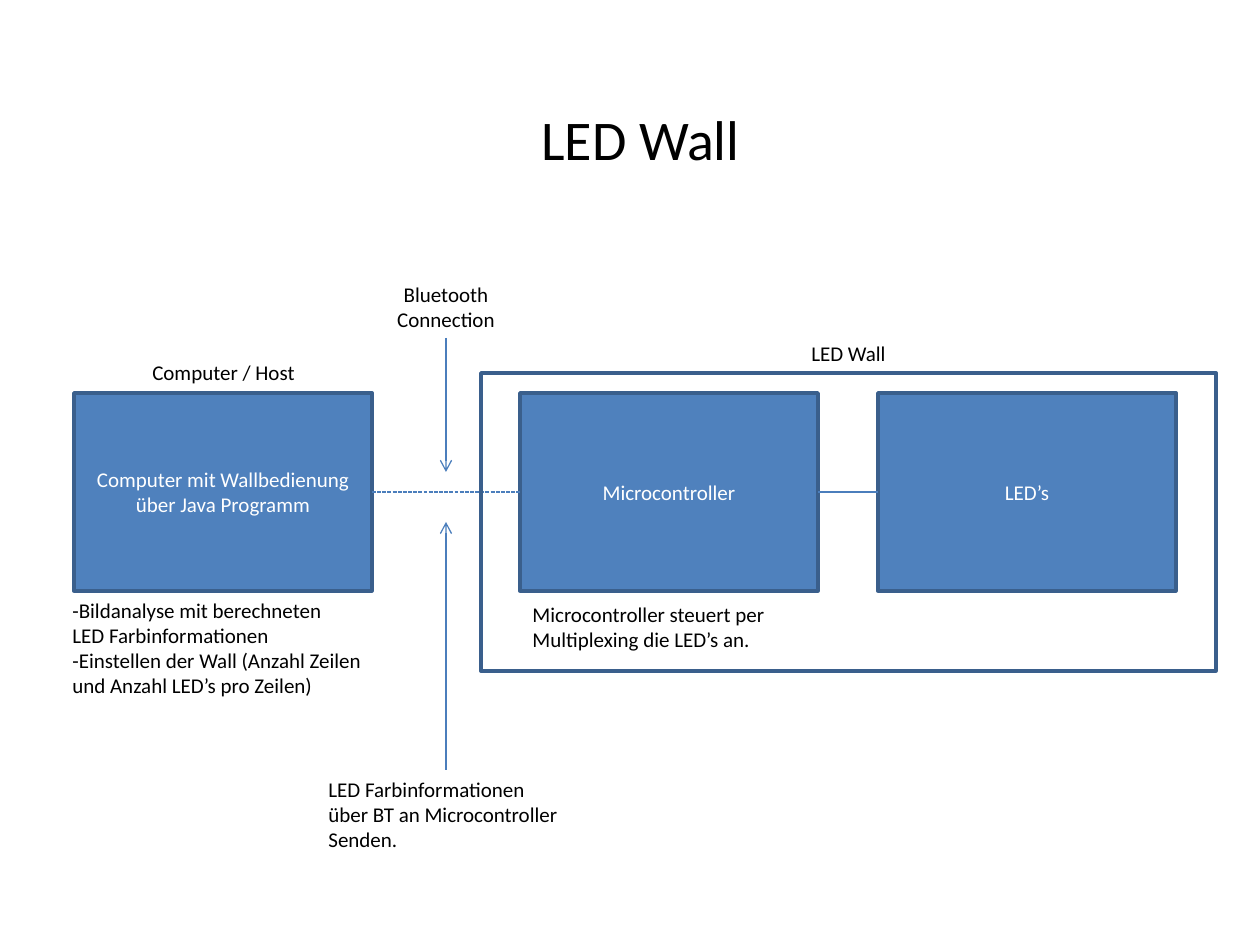
from lxml import etree
from pptx import Presentation
from pptx.dml.color import RGBColor
from pptx.enum.dml import MSO_LINE
from pptx.enum.shapes import MSO_CONNECTOR, MSO_SHAPE
from pptx.enum.text import MSO_ANCHOR, PP_ALIGN
from pptx.oxml.ns import qn
from pptx.util import Emu, Pt

LEFT, CENTER = PP_ALIGN.LEFT, PP_ALIGN.CENTER
TOP, MIDDLE = MSO_ANCHOR.TOP, MSO_ANCHOR.MIDDLE
RECT, STRAIGHT = MSO_SHAPE.RECTANGLE, MSO_CONNECTOR.STRAIGHT
DASH = MSO_LINE.SQUARE_DOT

THEME = dict(font="Calibri", title=32, body=12, black="000000", white="FFFFFF",
             fill="4F81BD", border="3A5F8C", link="4B7EBC",
             border_width=2, link_width=0.75)

# Content, lengths in pixels
PX = 914400 / 126
SLIDE_W, SLIDE_H = 1260, 945
BOX_TOP, BOX_W, BOX_H = 393, 298, 198
BOX_MID = BOX_TOP + BOX_H // 2
HOST_X, MICRO_X, LEDS_X = 74, 520, 878
LINK_X = (HOST_X + BOX_W + MICRO_X) // 2
WALL = (481, 373, 735, 298)

TITLE = ("LED Wall", (105, 37, 1071, 203))
BOXES = [
    (HOST_X, "Computer mit Wallbedienung über Java Programm"),
    (MICRO_X, "Microcontroller"),
    (LEDS_X, "LED’s"),
]
LABELS = [
    ("Bluetooth\nConnection", (384, 275, 124, 63), CENTER),
    ("-Bildanalyse mit berechneten\nLED Farbinformationen\n"
     "-Einstellen der Wall (Anzahl Zeilen\nund Anzahl LED’s pro Zeilen)",
     (60, 591, 318, 115), LEFT),
    ("LED Farbinformationen\nüber BT an Microcontroller\nSenden.",
     (316, 770, 260, 89), LEFT),
    ("Microcontroller steuert per\nMultiplexing die LED’s an.",
     (520, 595, 260, 63), LEFT),
    ("LED Wall", (798, 334, 101, 38), CENTER),
    ("Computer / Host", (139, 353, 169, 38), CENTER),
]
# start, end, dashed, arrowhead
LINKS = [
    ((MICRO_X + BOX_W, BOX_MID), (LEDS_X, BOX_MID), False, False),
    ((HOST_X + BOX_W, BOX_MID), (MICRO_X, BOX_MID), True, False),
    ((LINK_X, 338), (LINK_X, 472), False, True),
    ((LINK_X, 770), (LINK_X, 522), False, True),
]


def emu(*lengths):
    return [Emu(round(v * PX)) for v in lengths]


def rgb(name):
    return RGBColor.from_string(THEME[name])


def write(s, text, size="body", color="black", align=CENTER, anchor=MIDDLE, wrap=True):
    tf = s.text_frame
    tf.word_wrap = wrap
    tf.vertical_anchor = anchor
    for i, line in enumerate(text.split("\n")):
        p = tf.add_paragraph() if i else tf.paragraphs[0]
        p.alignment = align
        r = p.add_run()
        r.text = line
        r.font.name = THEME["font"]
        r.font.size = Pt(THEME[size])
        r.font.color.rgb = rgb(color)


def add_rect(area, filled=True):
    s = slide.shapes.add_shape(RECT, *emu(*area))
    s.shadow.inherit = False
    if filled:
        s.fill.solid()
        s.fill.fore_color.rgb = rgb("fill")
    else:
        s.fill.background()
    s.line.color.rgb = rgb("border")
    s.line.width = Pt(THEME["border_width"])
    return s


def add_link(start, end, dashed, arrow):
    s = slide.shapes.add_connector(STRAIGHT, *emu(*start, *end))
    s.line.color.rgb = rgb("link")
    s.line.width = Pt(THEME["link_width"])
    if dashed:
        s.line.dash_style = DASH
    if arrow:
        etree.SubElement(s.line._get_or_add_ln(), qn("a:tailEnd"), type="arrow")
    etree.SubElement(s._element.spPr, qn("a:effectLst"))


prs = Presentation()
prs.slide_width, prs.slide_height = emu(SLIDE_W, SLIDE_H)
slide = prs.slides.add_slide(prs.slide_layouts[6])

# Title
title, area = TITLE
write(slide.shapes.add_textbox(*emu(*area)), title, size="title")

# Components
for x, text in BOXES:
    write(add_rect((x, BOX_TOP, BOX_W, BOX_H)), text, color="white")

# Connections and arrows
for link in LINKS:
    add_link(*link)

# Frame of the wall
add_rect(WALL, filled=False)

# Labels
for text, area, align in LABELS:
    write(slide.shapes.add_textbox(*emu(*area)), text,
          align=align, anchor=TOP, wrap=False)

prs.save("out.pptx")
